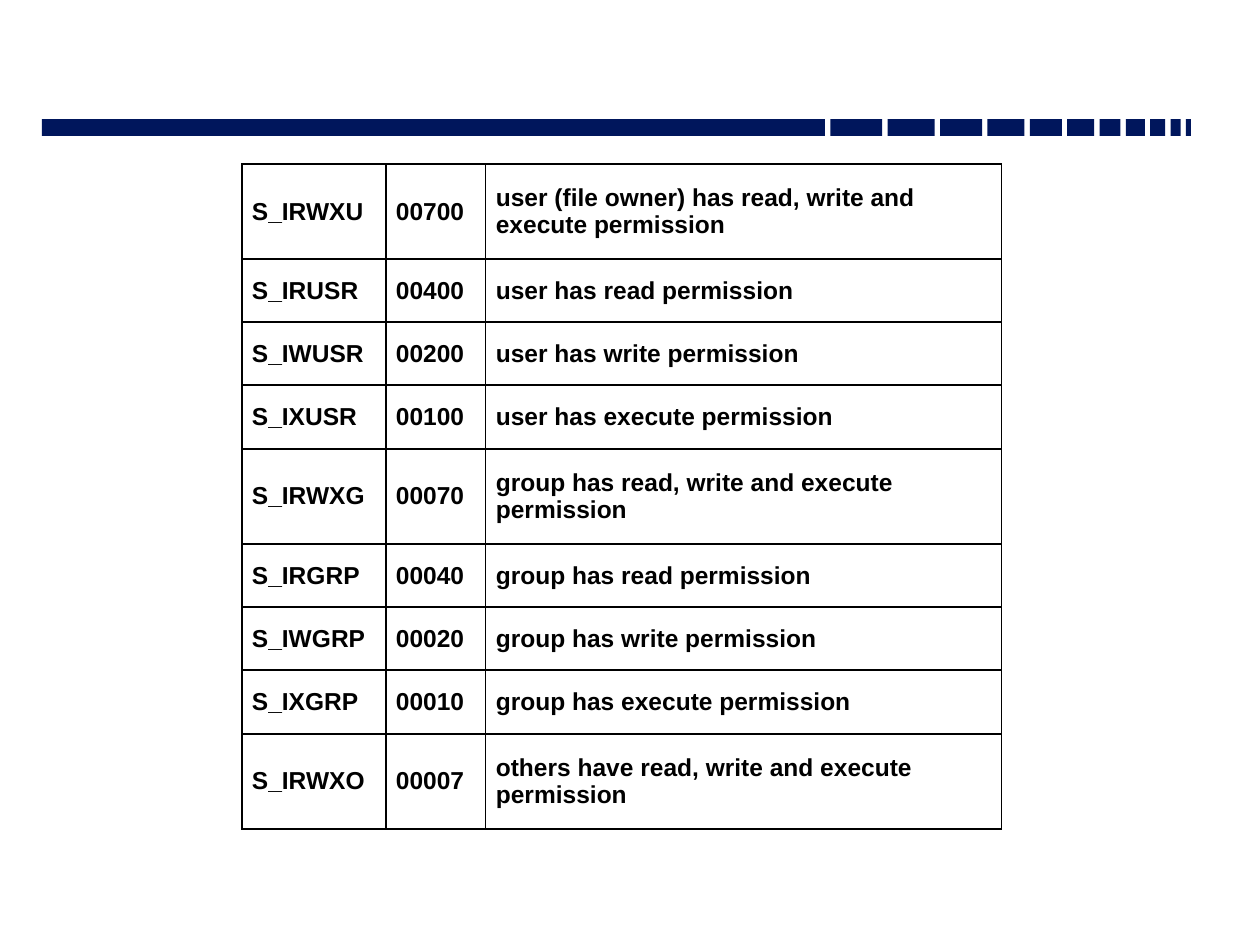
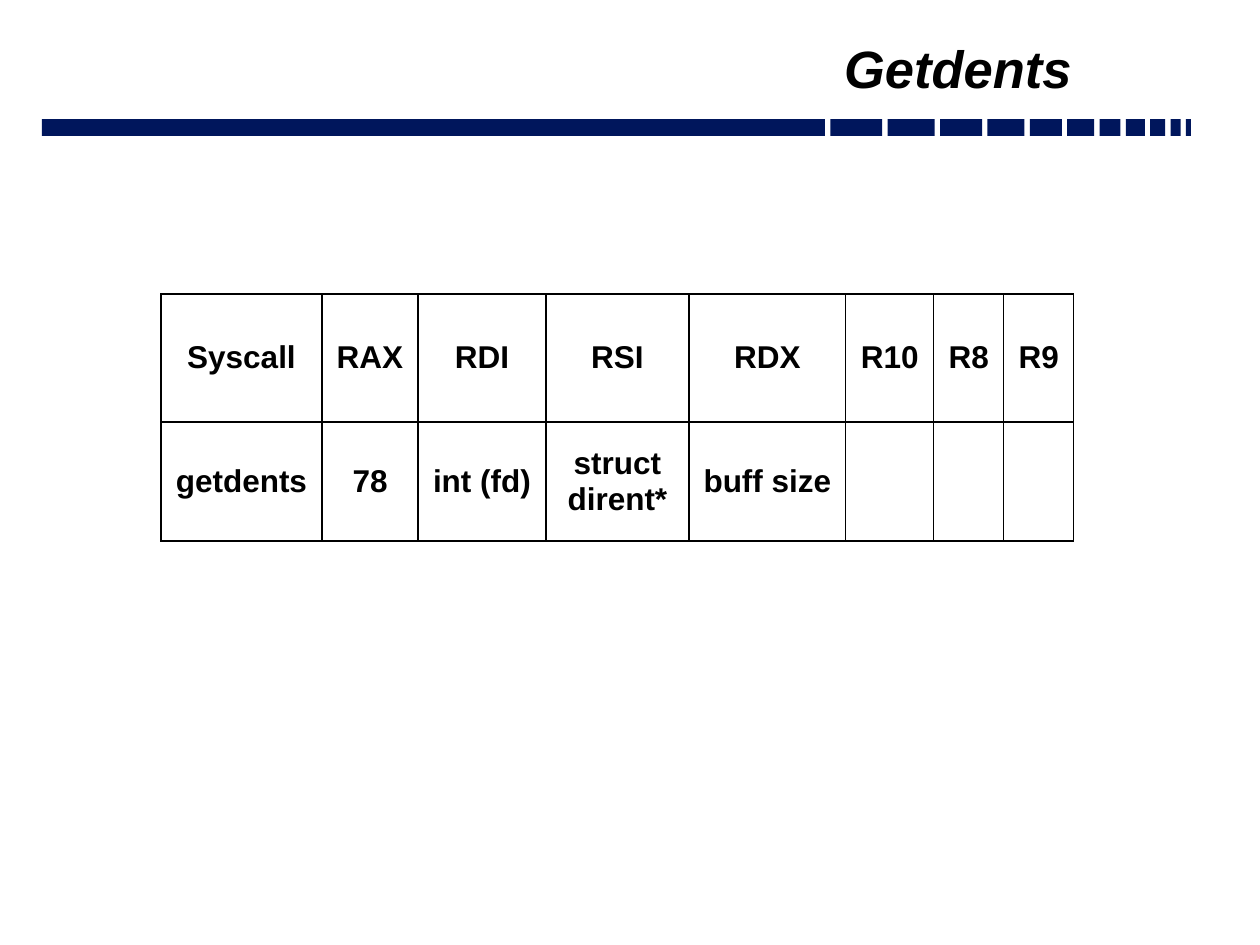
"""Two slides on file permission flags and the getdents system call."""
from lxml.etree import SubElement
from pptx import Presentation
from pptx.dml.color import RGBColor
from pptx.enum.shapes import MSO_SHAPE as Shape
from pptx.enum.text import MSO_ANCHOR as Anchor, PP_ALIGN as Align
from pptx.oxml.ns import qn
from pptx.util import Emu, Pt

COLORS = {"band": "00165C", "ink": "000000", "page": "FFFFFF"}
FONT = "Arial"
PX_PER_INCH = 126
BORDER = Pt(0.75)
CELL_INSET = 10

BAND = {"left": 42, "right": 1191, "top": 119, "height": 17}
BAND_WIDTHS = (783, 52, 47, 42, 37, 32, 27, 21, 19, 15, 10, 5)
TITLE = {"place": (813, 11, 290, 91), "inset": (11, 5), "size": 30, "spacing": 0.7}

SLIDES = [
    {
        "title": None,
        "origin": (242, 164),
        "columns": (144, 100, 516),
        "heights": (95, 63, 63, 64) * 2 + (95,),
        "size": 14,
        "align": Align.LEFT,
        "rows": [
            ("S_IRWXU", "00700", "user (file owner) has read, write and execute permission"),
            ("S_IRUSR", "00400", "user has read permission"),
            ("S_IWUSR", "00200", "user has write permission"),
            ("S_IXUSR", "00100", "user has execute permission"),
            ("S_IRWXG", "00070", "group has read, write and execute permission"),
            ("S_IRGRP", "00040", "group has read permission"),
            ("S_IWGRP", "00020", "group has write permission"),
            ("S_IXGRP", "00010", "group has execute permission"),
            ("S_IRWXO", "00007", "others have read, write and execute permission"),
        ],
    },
    {
        "title": "Getdents",
        "origin": (161, 294),
        "columns": (161, 96, 128, 143, 157, 88, 70, 70),
        "heights": (128, 119),
        "size": 18,
        "align": Align.CENTER,
        "rows": [
            ("Syscall", "RAX", "RDI", "RSI", "RDX", "R10", "R8", "R9"),
            ("getdents", "78", "int (fd)", "struct dirent*", "buff size", "", "", ""),
        ],
    },
]


def px(length):
    return Emu(round(length * 914400 / PX_PER_INCH))


def color(name):
    return RGBColor.from_string(COLORS[name])


def set_insets(holder, across, down):
    holder.margin_left = holder.margin_right = px(across)
    holder.margin_top = holder.margin_bottom = px(down)


def write(paragraph, text, size, align, italic=False):
    paragraph.alignment = align
    run = paragraph.add_run()
    run.text = text
    font = run.font
    font.name, font.size = FONT, Pt(size)
    font.bold, font.italic = True, italic
    font.color.rgb = color("ink")


def draw_band(slide):
    span = BAND["right"] - BAND["left"]
    gap = (span - sum(BAND_WIDTHS)) / (len(BAND_WIDTHS) - 1)
    left = BAND["left"]
    for width in BAND_WIDTHS:
        block = slide.shapes.add_shape(
            Shape.RECTANGLE, px(left), px(BAND["top"]), px(width), px(BAND["height"]))
        block.shadow.inherit = False
        block.fill.solid()
        block.fill.fore_color.rgb = color("band")
        block.line.fill.background()
        left += width + gap


def draw_title(slide, text):
    frame = slide.shapes.add_textbox(*map(px, TITLE["place"])).text_frame
    frame.word_wrap = True
    frame.vertical_anchor = Anchor.BOTTOM
    set_insets(frame, *TITLE["inset"])
    heading = frame.paragraphs[0]
    heading.line_spacing = TITLE["spacing"]
    write(heading, text, TITLE["size"], Align.CENTER, italic=True)


def outline(cell):
    properties = cell._tc.get_or_add_tcPr()
    for side in ("lnL", "lnR", "lnT", "lnB"):
        edge = SubElement(properties, qn(f"a:{side}"), w=str(BORDER))
        fill = SubElement(edge, qn("a:solidFill"))
        SubElement(fill, qn("a:srgbClr"), val=COLORS["ink"])


def draw_table(slide, content):
    columns, heights = content["columns"], content["heights"]
    place = (*content["origin"], sum(columns), sum(heights))
    table = slide.shapes.add_table(len(heights), len(columns), *map(px, place)).table
    table.first_row = table.horz_banding = False
    for column, width in zip(table.columns, columns):
        column.width = px(width)
    for row, height, texts in zip(table.rows, heights, content["rows"]):
        row.height = px(height)
        for cell, text in zip(row.cells, texts):
            outline(cell)
            cell.fill.background()
            cell.vertical_anchor = Anchor.MIDDLE
            set_insets(cell, CELL_INSET, CELL_INSET)
            if text:
                write(cell.text_frame.paragraphs[0], text, content["size"], content["align"])


def main():
    deck = Presentation()
    deck.slide_width, deck.slide_height = px(1260), px(945)
    blank = deck.slide_layouts[6]
    for content in SLIDES:
        slide = deck.slides.add_slide(blank)
        slide.background.fill.solid()
        slide.background.fill.fore_color.rgb = color("page")
        draw_band(slide)
        if content["title"]:
            draw_title(slide, content["title"])
        draw_table(slide, content)
    deck.save("out.pptx")


if __name__ == "__main__":
    main()
